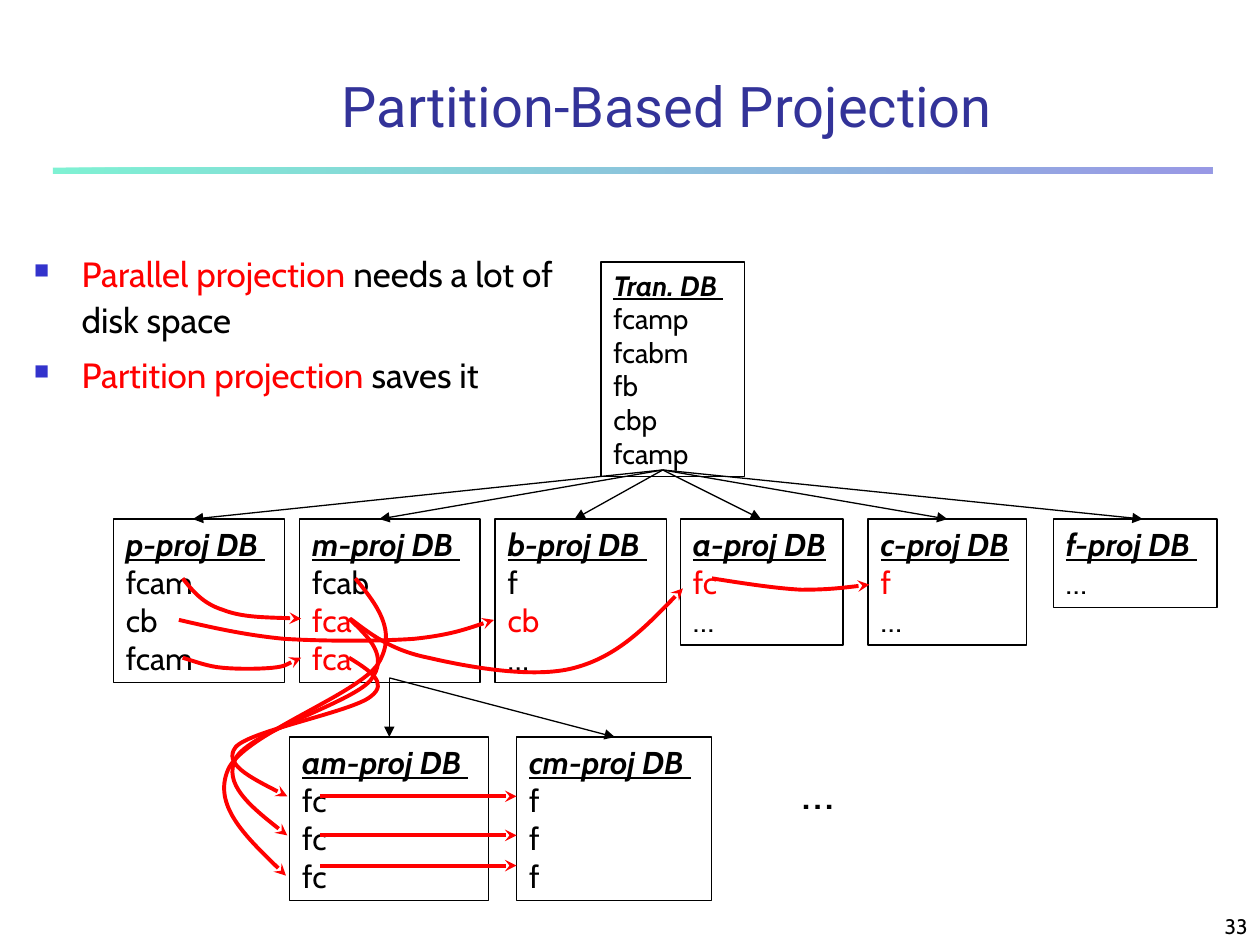
import lxml.etree
import pptx
import pptx.dml.color
import pptx.enum.shapes
import pptx.enum.text
import pptx.oxml.ns
import pptx.util

COLS, ROWS = 10, 7.5
BLACK, RED, NAVY, BLUE, MINT = "000000", "FF0000", "333399", "3333CC", "00E4A8"
ALIGN = pptx.enum.text.PP_ALIGN
ANCHOR = pptx.enum.text.MSO_ANCHOR
RECT = pptx.enum.shapes.MSO_SHAPE.RECTANGLE
STRAIGHT = pptx.enum.shapes.MSO_CONNECTOR.STRAIGHT
qn = pptx.oxml.ns.qn

FIRST = [
    (0.9, 1.36, 1.53, "p-proj DB ", ["fcam", "cb", "fcam"]),
    (2.38, 1.43, 3.01, "m-proj DB ", ["fcab", "*fca", "*fca"]),
    (3.93, 1.36, 4.56, "b-proj DB ", ["f", "*cb", "…"]),
    (5.4, 1.29, 6.04, "a-proj DB", ["*fc", "…"]),
    (6.89, 1.26, 7.52, "c-proj DB", ["*f", "…"]),
    (8.36, 1.3, 9.07, "f-proj DB ", ["…"]),
]
NEXT = [
    (2.3, 1.58, 3.09, "am-proj DB ", ["fc"] * 3),
    (4.1, 1.55, 4.88, "cm-proj DB ", ["f"] * 3),
]
CURVES = [
    [(1.45, 2.59), (1.53, 2.69), (1.61, 2.79), (1.77, 2.84),
     (1.92, 2.9), (2.16, 2.9), (2.39, 2.91)],
    [(2.78, 2.91), (2.94, 3.03), (3.1, 3.16), (3.4, 3.22), (3.7, 3.29),
     (4.23, 3.39), (4.56, 3.3), (4.9, 3.21), (5.16, 2.94), (5.42, 2.67)],
    [(5.65, 2.59), (5.9, 2.63), (6.16, 2.67), (6.36, 2.68),
     (6.57, 2.68), (6.73, 2.66), (6.9, 2.64)],
    [(1.45, 3.22), (1.55, 3.25), (1.65, 3.29), (1.77, 3.3), (1.88, 3.31),
     (2.05, 3.31), (2.16, 3.3), (2.26, 3.29), (2.32, 3.25), (2.39, 3.22)],
    [(2.77, 3.22), (2.93, 3.32), (3.09, 3.42), (2.94, 3.53), (2.79, 3.65),
     (1.98, 3.8), (1.87, 3.93), (1.77, 4.06), (2.02, 4.19), (2.28, 4.32)],
    [(2.77, 2.91), (2.93, 3.06), (3.09, 3.21), (2.94, 3.4), (2.79, 3.58),
     (1.98, 3.81), (1.87, 4.02), (1.77, 4.22), (2.02, 4.43), (2.28, 4.63)],
    [(2.82, 2.59), (2.99, 2.8), (3.16, 3.01), (3, 3.27), (2.83, 3.52),
     (1.93, 3.83), (1.81, 4.11), (1.69, 4.39), (1.98, 4.67), (2.27, 4.95)],
    [(1.42, 2.92), (1.68, 2.98), (1.94, 3.04), (2.25, 3.07), (2.56, 3.09),
     (3.01, 3.09), (3.29, 3.07), (3.57, 3.04), (3.74, 2.98), (3.92, 2.92)],
]


def tint(code):
    """Return the colour of a hex string."""
    return pptx.dml.color.RGBColor.from_string(code)


def inch(*cells):
    """Turn one-inch grid cells into lengths."""
    return [pptx.util.Inches(cell) for cell in cells]


def node(up, tag, **attrs):
    """Add a drawing element below another."""
    return lxml.etree.SubElement(up, qn(tag), attrs)


def style(run, size, code, face="Cabin"):
    """Set the font of a run."""
    run.font.name, run.font.size = face, pptx.util.Pt(size)
    run.font.color.rgb = tint(code)


def label(slide, box, text, size, code=BLACK, face="Cabin",
          align=ALIGN.LEFT, anchor=ANCHOR.TOP):
    """Place one line of text in a box."""
    frame = slide.shapes.add_textbox(*inch(*box)).text_frame
    frame.word_wrap, frame.vertical_anchor = True, anchor
    frame.text = text
    frame.paragraphs[0].alignment = align
    style(frame.paragraphs[0].runs[0], size, code, face)


def rule(slide, box):
    """Draw the fading bar that fills a box."""
    bar = slide.shapes.add_shape(RECT, *inch(*box))
    bar.shadow.inherit = False
    bar.line.fill.background()
    bar.fill.gradient()
    bar.fill.gradient_angle = 0
    for stop, code in zip(bar.fill.gradient_stops, (MINT, BLUE)):
        stop.color.rgb = tint(code)
    for clr in bar.element.spPr.iter(qn("a:srgbClr")):
        node(clr, "a:alpha", val="50000")


def points(slide, box, items):
    """Fill a box with bullets that open in red."""
    frame = slide.shapes.add_textbox(*inch(*box)).text_frame
    frame.word_wrap = True
    for i, (lead, rest) in enumerate(items):
        para = frame.paragraphs[0] if i == 0 else frame.add_paragraph()
        para.text = lead
        para.add_run().text = rest
        props = para._p.get_or_add_pPr()
        props.set("marL", str(inch(0.38)[0]))
        props.set("indent", str(inch(-0.38)[0]))
        node(node(props, "a:buClr"), "a:srgbClr", val=BLUE)
        node(props, "a:buSzPct", val="60000")
        node(props, "a:buChar", char="■")
        para.line_spacing = 1.1
        if i:
            para.space_before = pptx.util.Pt(5)
        for run, code in zip(para.runs, (RED, BLACK)):
            style(run, 20, code)


def table(slide, x, y, wide, name, rows, size=18):
    """Draw a database box as high as its lines."""
    high = 0.1 + (len(rows) + 1) * size / 60
    shape = slide.shapes.add_shape(RECT, *inch(x, y, wide, high))
    shape.shadow.inherit = False
    shape.fill.background()
    shape.line.color.rgb, shape.line.width = tint(BLACK), pptx.util.Pt(0.75)
    frame = shape.text_frame
    frame.word_wrap, frame.vertical_anchor = True, ANCHOR.TOP
    frame.text = "\n".join([name] + [row.lstrip("*") for row in rows])
    for para, row in zip(frame.paragraphs, [name] + rows):
        para.alignment = ALIGN.LEFT
        style(para.runs[0], size, RED if row.startswith("*") else BLACK)
    font = frame.paragraphs[0].runs[0].font
    font.bold = font.italic = font.underline = True


def point(shape, code, width, head):
    """Style a line and end it with an arrowhead."""
    shape.line.color.rgb, shape.line.width = tint(code), pptx.util.Pt(width)
    edge = shape.element.spPr.find(qn("a:ln"))
    node(edge, "a:tailEnd", type=head)
    node(shape.element.spPr, "a:effectLst")


def arrow(slide, start, end, code=BLACK, width=0.75, head="triangle"):
    """Draw a straight arrow."""
    line = slide.shapes.add_connector(STRAIGHT, *inch(*start, *end))
    point(line, code, width, head)


def curve(slide, dots):
    """Draw a red arrow through chained cubic curves."""
    pen = slide.shapes.build_freeform(*inch(*dots[0]))
    pen.add_line_segments([inch(*dot) for dot in dots[1:]], close=False)
    shape = pen.convert_to_shape()
    shape.fill.background()
    legs = list(shape.element.iter(qn("a:lnTo")))
    for i in range(0, len(legs), 3):
        bend = node(legs[i].getparent(), "a:cubicBezTo")
        for leg in legs[i:i + 3]:
            bend.append(leg[0])
            leg.getparent().remove(leg)
    point(shape, RED, 2.25, "stealth")


def tree(slide, box):
    """Draw the tree of projected databases in a box."""
    left, top = box[:2]

    def spot(x, y):
        """Shift a cell into the box."""
        return left + x, top + y

    table(slide, *spot(4.77, 0.08), 1.14, "Tran. DB ",
          ["fcamp", "fcabm", "fb", "cbp", "fcamp"], 16)
    levels = [(FIRST, 2.12, (5.26, 1.73)), (NEXT, 3.85, (3.09, 3.38))]
    for level, y, root in levels:
        for x, wide, tip, name, rows in level:
            table(slide, *spot(x, y), wide, name, rows)
            arrow(slide, spot(*root), spot(tip, y))
    for y in (4.32, 4.63, 4.87):
        arrow(slide, spot(2.54, y), spot(4.1, y), RED, 2.25, "stealth")
    for dots in CURVES:
        curve(slide, [spot(*dot) for dot in dots])
    label(slide, (*spot(6.26, 3.99), 0.5, 0.57), "…", 28)


def main():
    """Build and save the slide."""
    deck = pptx.Presentation()
    deck.slide_width, deck.slide_height = inch(COLS, ROWS)
    slide = deck.slides.add_slide(deck.slide_layouts[6])
    rule(slide, (0.42, 1.33, 9.2, 0.05))
    label(slide, (7.92, 7.08, 2.08, 0.42), "33", 12,
          align=ALIGN.RIGHT, anchor=ANCHOR.BOTTOM)
    label(slide, (1, 0.5, 8.59, 0.67), "Partition-Based Projection", 32,
          NAVY, "Roboto", ALIGN.CENTER, ANCHOR.MIDDLE)
    points(slide, (0.17, 1.92, 4.5, 1.5), [
        ("Parallel projection ", "needs a lot of disk space"),
        ("Partition projection ", "saves it")])
    tree(slide, (0, 2, COLS, ROWS - 2))
    deck.save("out.pptx")


if __name__ == "__main__":
    main()
